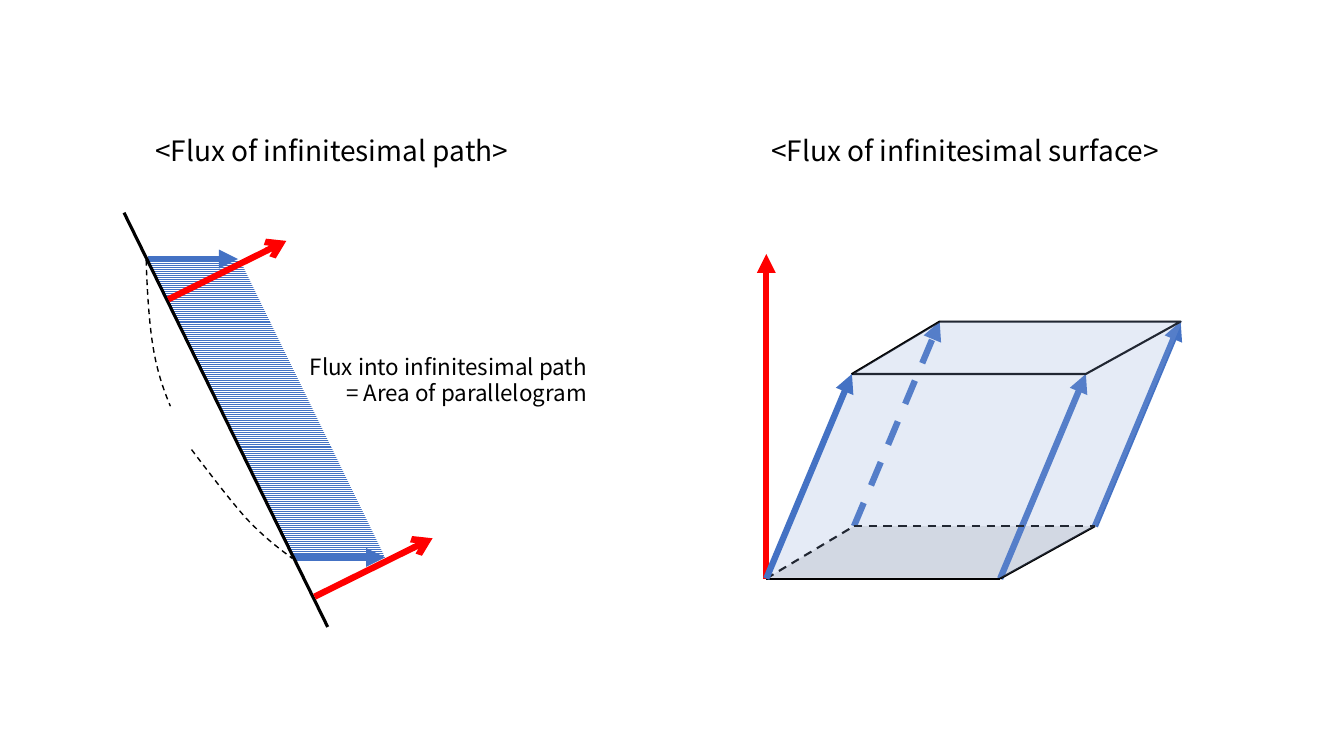
import pptx
import pptx.util
import pptx.dml.color
import pptx.enum.dml
import pptx.enum.shapes
import pptx.enum.text
import pptx.oxml
import pptx.oxml.ns

Inches = pptx.util.Inches
RGBColor = pptx.dml.color.RGBColor
DASH = pptx.enum.dml.MSO_LINE.DASH
ALIGN = pptx.enum.text.PP_ALIGN

BLACK = RGBColor(0x00, 0x00, 0x00)
WHITE = RGBColor(0xFF, 0xFF, 0xFF)
BLUE = RGBColor(0x44, 0x72, 0xC4)
RED = RGBColor(0xFF, 0x00, 0x00)
GRAY = RGBColor(0xE7, 0xE6, 0xE6)
PALE = RGBColor(0x8F, 0xAA, 0xDC)
FONT = "Noto Sans CJK KR"


def add_xml(parent, tag, **attrs):
    node = pptx.oxml.parse_xml(f"<a:{tag} {pptx.oxml.ns.nsdecls('a')}/>")
    for key, value in attrs.items():
        node.set(key, value)
    parent.append(node)


def style_line(line, color, width, dash=None):
    line.color.rgb = color
    line.width = pptx.util.Pt(width)
    if dash:
        line.dash_style = dash


def add_line(slide, start, end, color=BLACK, width=1.5, dash=None, head=None):
    ends = [Inches(v) for v in (*start, *end)]
    link = slide.shapes.add_connector(pptx.enum.shapes.MSO_CONNECTOR.STRAIGHT, *ends)
    style_line(link.line, color, width, dash)
    if head:
        add_xml(link.line._get_or_add_ln(), "tailEnd", type=head)
    add_xml(link._element.spPr, "effectLst")


def add_arrow(slide, start, end, color=BLUE, dash=None, head="triangle"):
    add_line(slide, start, end, color, 4.5, dash, head)


def add_path(slide, points, close=True):
    spots = [(Inches(x), Inches(y)) for x, y in points]
    pen = slide.shapes.build_freeform(*spots[0])
    pen.add_line_segments(spots[1:], close=close)
    shape = pen.convert_to_shape()
    shape.shadow.inherit = False
    shape.fill.background()
    shape.line.fill.background()
    return shape


def add_face(slide, points, color, alpha=None):
    shape = add_path(slide, points)
    shape.fill.solid()
    shape.fill.fore_color.rgb = color
    if alpha:
        tint = shape._element.spPr.find(".//" + pptx.oxml.ns.qn("a:srgbClr"))
        add_xml(tint, "alpha", val=str(alpha * 1000))


def add_hatch(slide, points):
    fill = add_path(slide, points).fill
    fill.patterned()
    fill.pattern = pptx.enum.dml.MSO_PATTERN.LIGHT_HORIZONTAL
    fill.fore_color.rgb = BLUE
    fill.back_color.rgb = WHITE


def bezier(a, b, c, d, steps=10):
    for i in range(1, steps + 1):
        t = i / steps
        u = 1 - t
        mix = (u ** 3, 3 * u * u * t, 3 * u * t * t, t ** 3)
        yield tuple(sum(m * p[k] for m, p in zip(mix, (a, b, c, d))) for k in (0, 1))


def add_curve(slide, knots):
    points = [knots[0]]
    for i in range(0, len(knots) - 1, 3):
        points.extend(bezier(*knots[i:i + 4]))
    style_line(add_path(slide, points, close=False).line, BLACK, 1, DASH)


def add_text(slide, text, left, top, width, height, size=20, align=ALIGN.LEFT):
    box = slide.shapes.add_textbox(*map(Inches, (left, top, width, height)))
    frame = box.text_frame
    frame.word_wrap = False
    frame.auto_size = pptx.enum.text.MSO_AUTO_SIZE.SHAPE_TO_FIT_TEXT
    frame.text = text
    for para in frame.paragraphs:
        para.alignment = align
        for run in para.runs:
            run.font.name = FONT
            run.font.size = pptx.util.Pt(size)
            run.font.color.rgb = BLACK


def draw_path(slide):
    add_hatch(slide, [(1.46, 2.57), (2.9, 5.53), (3.82, 5.53), (2.38, 2.58)])
    add_arrow(slide, (1.47, 2.57), (2.36, 2.57))
    add_arrow(slide, (2.92, 5.53), (3.82, 5.53))
    add_line(slide, (1.23, 2.11), (3.25, 6.22), width=2.25)
    add_curve(slide, [(1.45, 2.58), (1.46, 2.9), (1.48, 3.21), (1.52, 3.45),
                      (1.56, 3.69), (1.62, 3.86), (1.69, 4.03)])
    add_curve(slide, [(1.9, 4.46), (2.09, 4.71), (2.28, 4.96), (2.44, 5.14),
                      (2.61, 5.32), (2.75, 5.43), (2.9, 5.54)])
    add_text(slide, "Flux into infinitesimal path\n= Area of parallelogram",
             2.93, 3.45, 2.99, 0.64, size=16, align=ALIGN.RIGHT)
    add_text(slide, "<Flux of infinitesimal path>", 1.44, 1.28, 3.73, 0.44)
    for x, y in ((1.67, 2.97), (3.12, 5.92)):
        add_arrow(slide, (x, y), (x + 1.17, y - 0.58), RED, head="arrow")


def draw_solid(slide):
    base = [(7.6, 5.74), (9.92, 5.74), (10.86, 5.22), (8.47, 5.22)]
    roof = [(x + 0.85, y - 2.03) for x, y in base]
    near, right, far, back = base
    add_arrow(slide, far, roof[2])
    add_arrow(slide, back, roof[3], dash=DASH)
    add_face(slide, base, GRAY)
    add_arrow(slide, right, roof[1])
    style_line(add_path(slide, roof).line, BLACK, 1.5)
    add_line(slide, near, back, dash=DASH)
    add_line(slide, near, right)
    add_line(slide, right, far)
    add_line(slide, back, far, dash=DASH)
    add_arrow(slide, near, (7.6, 2.52), RED)
    hull = [roof[0], near, right, far, roof[2], roof[3]]
    add_face(slide, [(x + 0.02, y - 0.01) for x, y in hull], PALE, alpha=23)
    add_arrow(slide, near, roof[0])
    add_text(slide, "<Flux of infinitesimal surface>", 7.55, 1.28, 4.07, 0.44)


def main():
    deck = pptx.Presentation()
    deck.slide_width = Inches(13.33)
    deck.slide_height = Inches(7.5)
    slide = deck.slides.add_slide(deck.slide_layouts[6])
    draw_path(slide)
    draw_solid(slide)
    deck.save("out.pptx")


if __name__ == "__main__":
    main()
